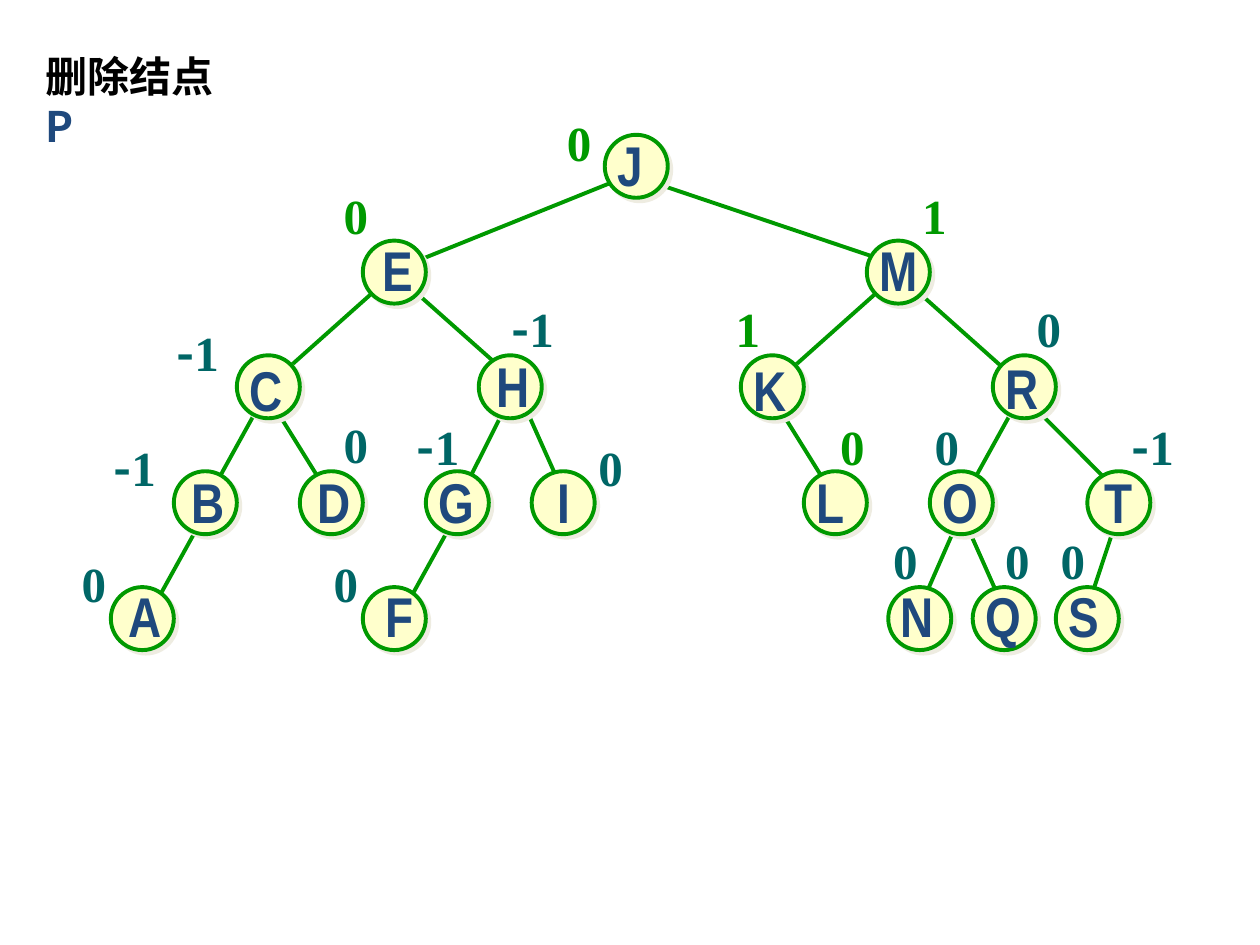
from lxml.etree import SubElement
from pptx import Presentation
from pptx.dml.color import RGBColor
from pptx.enum.shapes import MSO_CONNECTOR, MSO_SHAPE
from pptx.enum.text import MSO_AUTO_SIZE
from pptx.oxml import parse_xml
from pptx.oxml.ns import qn
from pptx.util import Inches, Pt

GREEN, TEAL, NAVY, CREAM = "009900", "006666", "1F497D", "FFFFCC"
SANS, SERIF, NARROW = "Noto Sans CJK SC", "Times New Roman", "Arial Narrow"
LEVELS = [1.07, 1.91, 2.82, 3.74, 4.66]
SIZE = 0.5
STEP = 1 / 12

# key: left, level, label (dx, dy, width), balance, its colour, its (dx, dy)
NODES = {
    "J": (4.8, 0, (0, -.08, .4), "0", GREEN, (-.4, -.23)),
    "E": (2.88, 1, (.06, -.09, .44), "0", GREEN, (-.25, -.49)),
    "M": (6.88, 1, (0, -.09, .51), "1", GREEN, (.34, -.49)),
    "C": (1.88, 2, (0, -.05, .47), "-1", TEAL, (-.58, -.31)),
    "H": (3.8, 2, (.04, -.08, .47), "-1", TEAL, (.16, -.5)),
    "K": (5.88, 2, (0, -.05, .47), "1", GREEN, (-.14, -.5)),
    "R": (7.88, 2, (0, -.06, .47), "0", TEAL, (.25, -.5)),
    "B": (1.38, 3, (.04, -.08, .47), "-1", TEAL, (-.58, -.32)),
    "D": (2.38, 3, (.04, -.08, .47), "0", TEAL, (.25, -.5)),
    "G": (3.38, 3, (0, -.08, .48), "-1", TEAL, (-.17, -.48)),
    "I": (4.22, 3, (.11, -.08, .3), "0", TEAL, (.43, -.32)),
    "L": (6.38, 3, (0, -.08, .42), "0", GREEN, (.19, -.48)),
    "O": (7.38, 3, (0, -.08, .48), "0", TEAL, (-.06, -.48)),
    "T": (8.63, 3, (.04, -.08, .42), "-1", TEAL, (.25, -.48)),
    "A": (.88, 4, (.04, -.09, .47), "0", TEAL, (-.33, -.32)),
    "F": (2.88, 4, (.08, -.09, .42), "0", TEAL, (-.33, -.32)),
    "N": (7.05, 4, (0, -.09, .47), "0", TEAL, (-.06, -.5)),
    "Q": (7.72, 4, (0, -.09, .48), "0", TEAL, (.16, -.5)),
    "S": (8.38, 4, (0, -.09, .44), "0", TEAL, (-.06, -.5)),
}

# parent and child, with the shift of each end from its node's centre in steps
EDGES = [
    ("JE", (-1, 1), (2, -1)), ("JM", (0, 1), (-1, -1)),
    ("EC", (-1, 1), (1, -1)), ("EH", (1, 1), (0, -1)),
    ("MK", (-1, 1), (1, -1)), ("MR", (2, 2), (0, 0)),
    ("CB", (-1, 2), (0, 0)), ("CD", (0, 1), (-1, -2)),
    ("HG", (0, 1), (0, 0)), ("HI", (1, 1), (0, -1)),
    ("KL", (0, 1), (-1, -2)), ("RO", (-1, 2), (0, 0)),
    ("RT", (0, 1), (-1, -2)), ("BA", (0, 1), (1, -1)),
    ("GF", (0, 1), (1, -1)), ("ON", (0, 1), (0, -1)),
    ("OQ", (0, 1), (-.5, -2)), ("TS", (0, 1), (0, -1)),
]

SHADOW = (
    '<a:effectLst xmlns:a="http://schemas.openxmlformats.org/drawingml/2006/main">'
    '<a:outerShdw dist="35560" dir="2700000" algn="ctr" rotWithShape="0">'
    '<a:srgbClr val="EEECE1"/></a:outerShdw></a:effectLst>'
)


def color(text):
    return RGBColor.from_string(text)


def stroke(line):
    line.color.rgb = color(GREEN)
    line.width = Pt(2.25)


def spot(key):
    """Left and top of a node."""
    return NODES[key][0], LEVELS[NODES[key][1]]


def tip(key, shift):
    """Point where an edge ends, near a node's centre."""
    return [Inches(p + SIZE / 2 + s * STEP) for p, s in zip(spot(key), shift)]


def add_edge(shapes, pair, start, end):
    line = shapes.add_connector(
        MSO_CONNECTOR.STRAIGHT, *tip(pair[0], start), *tip(pair[1], end))
    stroke(line.line)
    SubElement(line._element.spPr, qn("a:effectLst"))


def add_node(shapes, key):
    x, y = spot(key)
    oval = shapes.add_shape(MSO_SHAPE.OVAL, *map(Inches, (x, y, SIZE, SIZE)))
    oval.fill.solid()
    oval.fill.fore_color.rgb = color(CREAM)
    stroke(oval.line)
    oval._element.spPr.append(parse_xml(SHADOW))


def add_text(shapes, box, size, runs):
    """Text box on one paragraph; a run of None breaks the line."""
    frame = shapes.add_textbox(*map(Inches, box)).text_frame
    frame.word_wrap = False
    frame.auto_size = MSO_AUTO_SIZE.SHAPE_TO_FIT_TEXT
    para = frame.paragraphs[0]
    for item in runs:
        if item is None:
            para.add_line_break()
            continue
        text, face, tone = item
        run = para.add_run()
        run.text = text
        font = run.font
        font.size, font.bold, font.name = Pt(size), True, face
        font.color.rgb = color(tone)
        SubElement(run._r.get_or_add_rPr(), qn("a:ea"), typeface=face)


def add_marks(shapes, key):
    """Letter and balance factor of a node."""
    x, y = spot(key)
    _, _, (dx, dy, width), factor, tone, (bx, by) = NODES[key]
    add_text(shapes, (x + dx, y + dy, width, .63), 32, [(key, NARROW, NAVY)])
    runs = [(c, SANS if c == "-" else SERIF, tone) for c in factor]
    wide = .59 if len(factor) > 1 else .4
    add_text(shapes, (x + bx, y + by, wide, .57), 28, runs)


def main():
    deck = Presentation()
    deck.slide_width, deck.slide_height = Inches(10), Inches(7.5)
    slide = deck.slides.add_slide(deck.slide_layouts[6])
    tree = slide.shapes.add_group_shape().shapes
    for edge in EDGES:
        add_edge(tree, *edge)
    for key in NODES:
        add_node(tree, key)
    for key in NODES:
        add_marks(tree, key)
    add_text(slide.shapes, (.26, .35, 1.74, .5), 24,
             [("删除结点", SANS, "000000"), None, ("P", SANS, NAVY)])
    deck.save("out.pptx")


if __name__ == "__main__":
    main()
